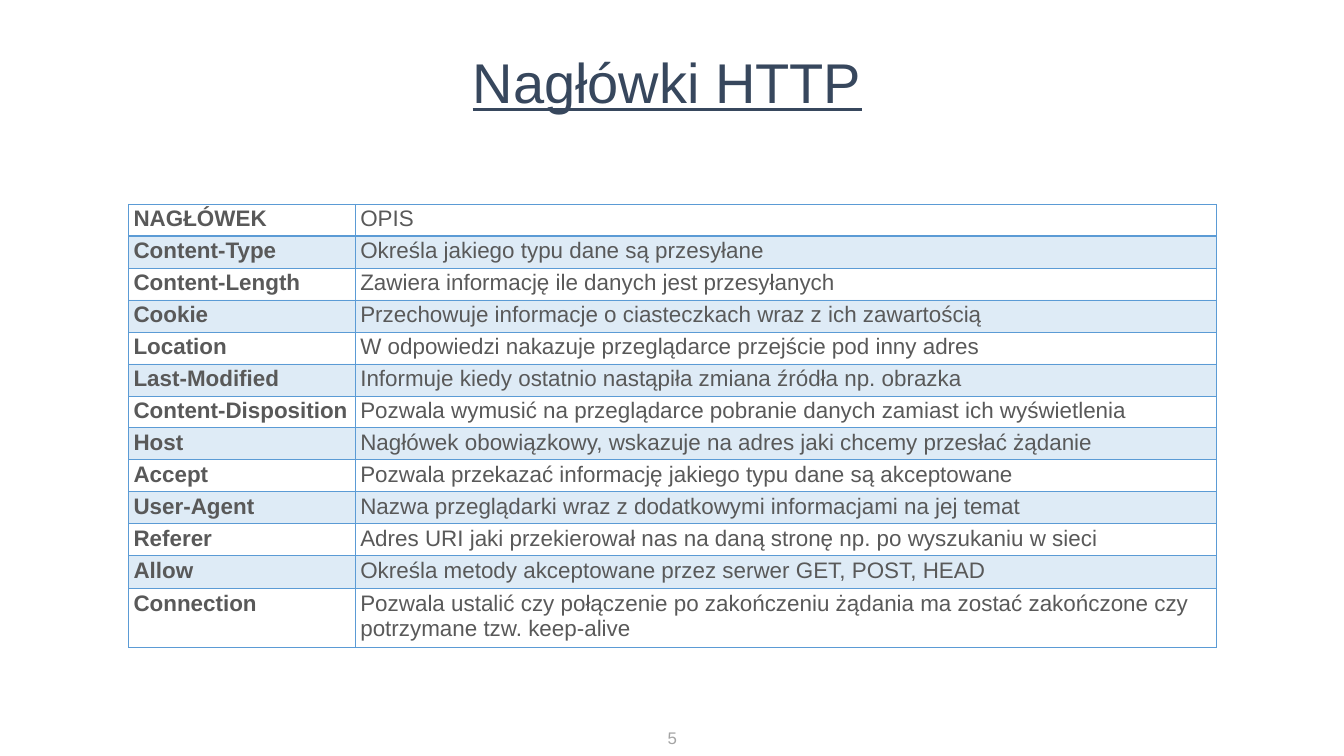
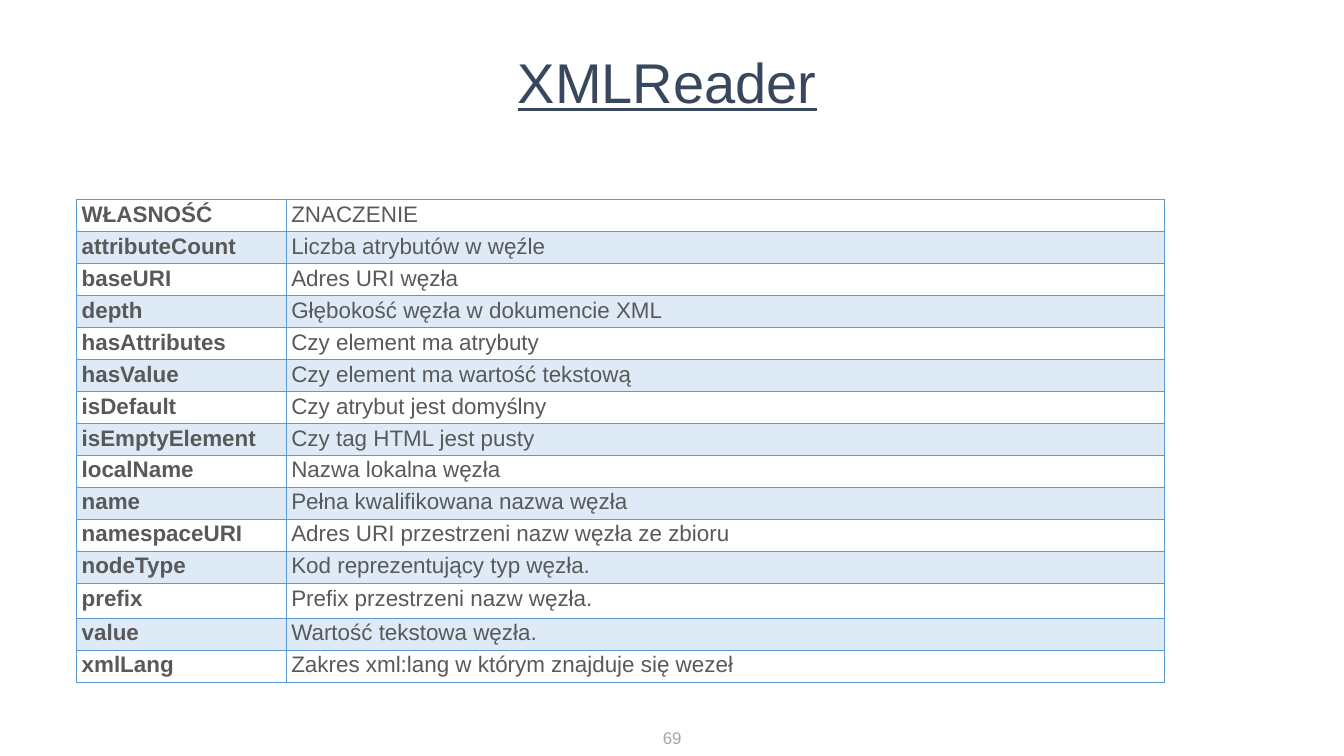
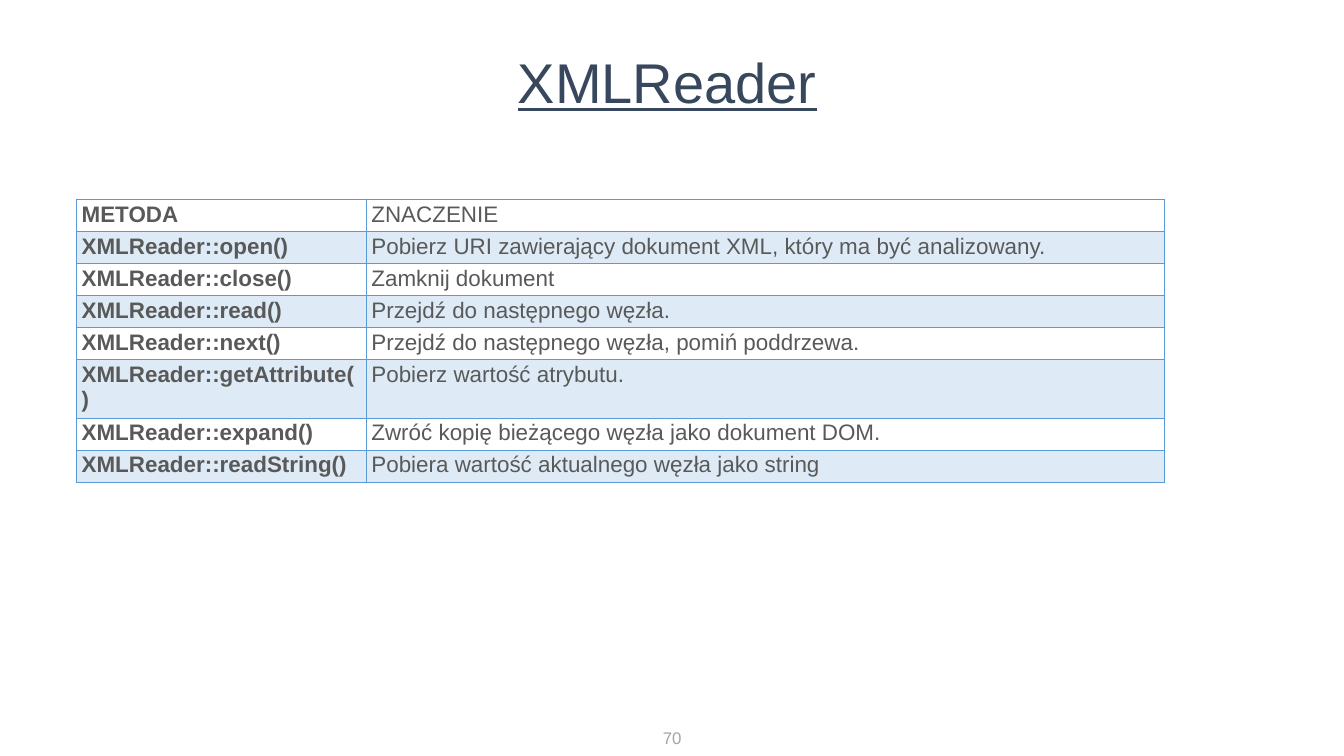
from lxml.etree import SubElement
from pptx import Presentation
from pptx.dml.color import RGBColor
from pptx.enum.text import MSO_ANCHOR, MSO_AUTO_SIZE, PP_ALIGN
from pptx.oxml.ns import qn
from pptx.util import Inches, Pt

# Content: "tall" gives the row heights that differ from ROW_HEIGHT
SLIDES = [
    {
        "title": "Nagłówki HTTP", "number": "5",
        "corner": (2.55, 4.05), "columns": (4.5, 17.09),
        "tall": {11: 0.65, 12: 0.68},
        "rows": [
            ("NAGŁÓWEK", "OPIS"),
            ("Content-Type", "Określa jakiego typu dane są przesyłane"),
            ("Content-Length", "Zawiera informację ile danych jest przesyłanych"),
            ("Cookie", "Przechowuje informacje o ciasteczkach wraz z ich zawartością"),
            ("Location", "W odpowiedzi nakazuje przeglądarce przejście pod inny adres"),
            ("Last-Modified", "Informuje kiedy ostatnio nastąpiła zmiana źródła np. obrazka"),
            ("Content-Disposition",
             "Pozwala wymusić na przeglądarce pobranie danych zamiast ich wyświetlenia"),
            ("Host", "Nagłówek obowiązkowy, wskazuje na adres jaki chcemy przesłać żądanie"),
            ("Accept", "Pozwala przekazać informację jakiego typu dane są akceptowane"),
            ("User-Agent", "Nazwa przeglądarki wraz z dodatkowymi informacjami na jej temat"),
            ("Referer", "Adres URI jaki przekierował nas na daną stronę np. po wyszukaniu w sieci"),
            ("Allow", "Określa metody akceptowane przez serwer GET, POST, HEAD"),
            ("Connection",
             "Pozwala ustalić czy połączenie po zakończeniu żądania ma zostać "
             "zakończone czy potrzymane tzw. keep-alive"),
        ],
    },
    {
        "title": "XMLReader", "number": "69",
        "corner": (1.52, 3.96), "columns": (4.16, 17.43),
        "tall": {11: 0.65, 12: 0.68},
        "rows": [
            ("WŁASNOŚĆ", "ZNACZENIE"),
            ("attributeCount", "Liczba atrybutów w węźle"),
            ("baseURI", "Adres URI węzła"),
            ("depth", "Głębokość węzła w dokumencie XML"),
            ("hasAttributes", "Czy element ma atrybuty"),
            ("hasValue", "Czy element ma wartość tekstową"),
            ("isDefault", "Czy atrybut jest domyślny"),
            ("isEmptyElement", "Czy tag HTML jest pusty"),
            ("localName", "Nazwa lokalna węzła"),
            ("name", "Pełna kwalifikowana nazwa węzła"),
            ("namespaceURI", "Adres URI przestrzeni nazw węzła ze zbioru"),
            ("nodeType", "Kod reprezentujący typ węzła."),
            ("prefix", "Prefix przestrzeni nazw węzła."),
            ("value", "Wartość tekstowa węzła."),
            ("xmlLang", "Zakres xml:lang w którym znajduje się wezeł"),
        ],
    },
    {
        "title": "XMLReader", "number": "70",
        "corner": (1.52, 3.96), "columns": (5.75, 15.84),
        "tall": {},
        "rows": [
            ("METODA", "ZNACZENIE"),
            ("XMLReader::open()",
             "Pobierz URI zawierający dokument XML, który ma być analizowany."),
            ("XMLReader::close()", "Zamknij dokument"),
            ("XMLReader::read()", "Przejdź do następnego węzła."),
            ("XMLReader::next()", "Przejdź do następnego węzła, pomiń poddrzewa."),
            ("XMLReader::getAttribute()", "Pobierz wartość atrybutu."),
            ("XMLReader::expand()", "Zwróć kopię bieżącego węzła jako dokument DOM."),
            ("XMLReader::readString()", "Pobiera wartość aktualnego węzła jako string"),
        ],
    },
]

# Shared style
FONT = "Arial"
TITLE_COLOR, BODY_COLOR, NUMBER_COLOR = "37475D", "595959", "A4A4A4"
ACCENT = "5B9BD5"
BAND_OPACITY = 20
ROW_HEIGHT = 0.41


def rgb(color):
    return RGBColor.from_string(color)


def add_run(paragraph, text, size, color, bold=False, underline=False):
    run = paragraph.add_run()
    run.text = text
    font = run.font
    font.name, font.size = FONT, Pt(size)
    font.bold, font.underline = bold, underline
    font.color.rgb = rgb(color)


def place(shape, left, top, width, height):
    shape.left, shape.top = Inches(left), Inches(top)
    shape.width, shape.height = Inches(width), Inches(height)


def add_title(slide, text):
    title = slide.shapes.title
    place(title, 3, 0.8, 20.48, 1.36)
    frame = title.text_frame
    frame.auto_size = MSO_AUTO_SIZE.NONE
    frame.vertical_anchor = MSO_ANCHOR.TOP
    frame.margin_top = Inches(0.15)
    paragraph = frame.paragraphs[0]
    paragraph.alignment = PP_ALIGN.CENTER
    add_run(paragraph, text, 80, TITLE_COLOR, underline=True)


def add_number(slide, number):
    box = slide.shapes.add_textbox(Inches(13.11), Inches(14.44), Inches(0.46), Inches(0.5))
    frame = box.text_frame
    frame.margin_left = frame.margin_right = frame.margin_top = frame.margin_bottom = 0
    frame.word_wrap = False
    frame.auto_size = MSO_AUTO_SIZE.SHAPE_TO_FIT_TEXT
    paragraph = frame.paragraphs[0]
    paragraph.alignment = PP_ALIGN.CENTER
    add_run(paragraph, number, 24, NUMBER_COLOR)


def add_borders(cell, bottom):
    """Draw the four sides; call before the fill, which must follow them."""
    properties = cell._tc.get_or_add_tcPr()
    for side, width in (("L", 1), ("R", 1), ("T", 1), ("B", bottom)):
        line = SubElement(properties, qn(f"a:ln{side}"), w=str(Pt(width)))
        SubElement(SubElement(line, qn("a:solidFill")), qn("a:srgbClr"), val=ACCENT)


def fill_band(cell, banded):
    if not banded:
        cell.fill.background()
        return
    cell.fill.solid()
    cell.fill.fore_color.rgb = rgb(ACCENT)
    color = cell._tc.tcPr.find(qn("a:solidFill")).find(qn("a:srgbClr"))
    SubElement(color, qn("a:alpha"), val=str(BAND_OPACITY * 1000))


def add_grid(slide, content):
    rows, columns = content["rows"], content["columns"]
    heights = [content["tall"].get(i, ROW_HEIGHT) for i in range(len(rows))]
    left, top = content["corner"]
    grid = slide.shapes.add_table(
        len(rows), len(columns), Inches(left), Inches(top),
        Inches(sum(columns)), Inches(sum(heights))).table
    grid.first_row = grid.horz_banding = False
    for column, width in zip(grid.columns, columns):
        column.width = Inches(width)
    for r, (entries, height) in enumerate(zip(rows, heights)):
        grid.rows[r].height = Inches(height)
        for c, entry in enumerate(entries):
            cell = grid.cell(r, c)
            add_borders(cell, bottom=2 if r == 0 else 1)
            fill_band(cell, banded=r % 2 == 1)
            add_run(cell.text_frame.paragraphs[0], entry, 32, BODY_COLOR, bold=c == 0)


def main():
    deck = Presentation()
    deck.slide_width, deck.slide_height = Inches(26.67), Inches(15)
    title_only = deck.slide_layouts[5]
    for content in SLIDES:
        slide = deck.slides.add_slide(title_only)
        add_number(slide, content["number"])
        add_title(slide, content["title"])
        add_grid(slide, content)
    deck.save("out.pptx")


if __name__ == "__main__":
    main()
